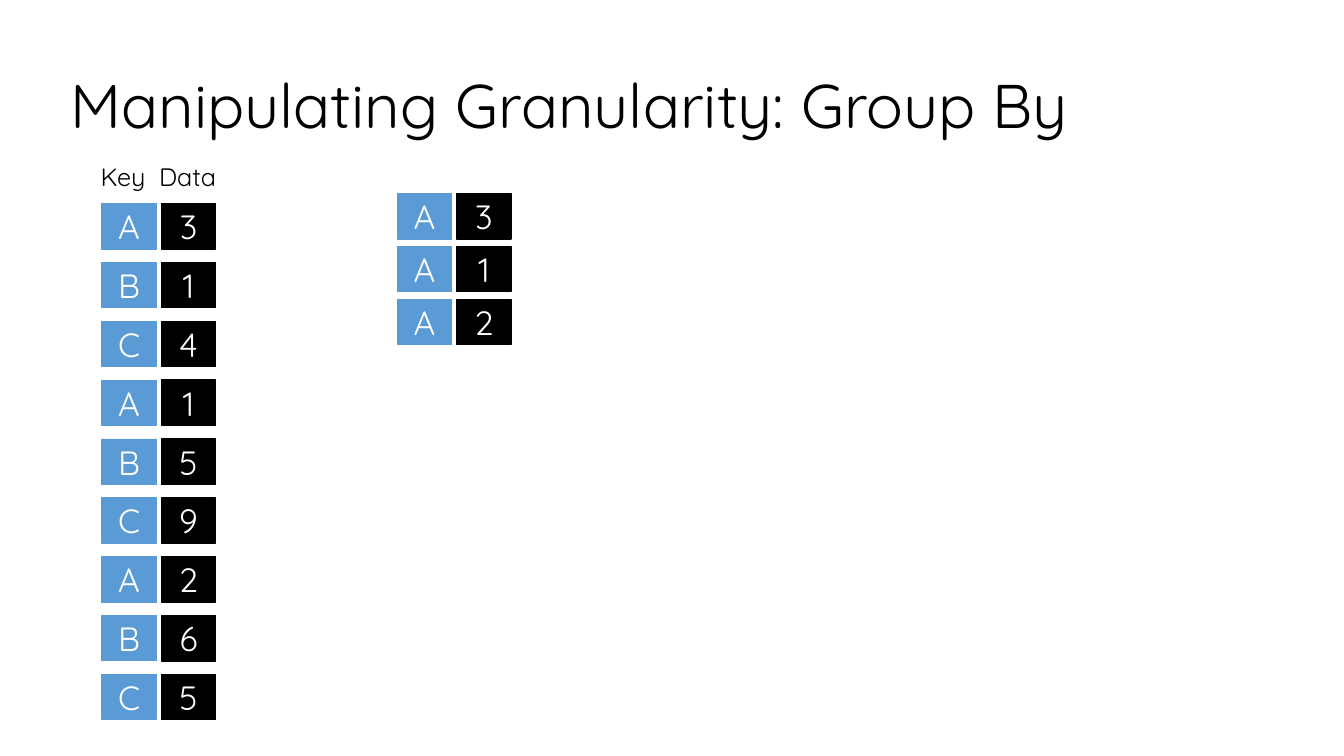
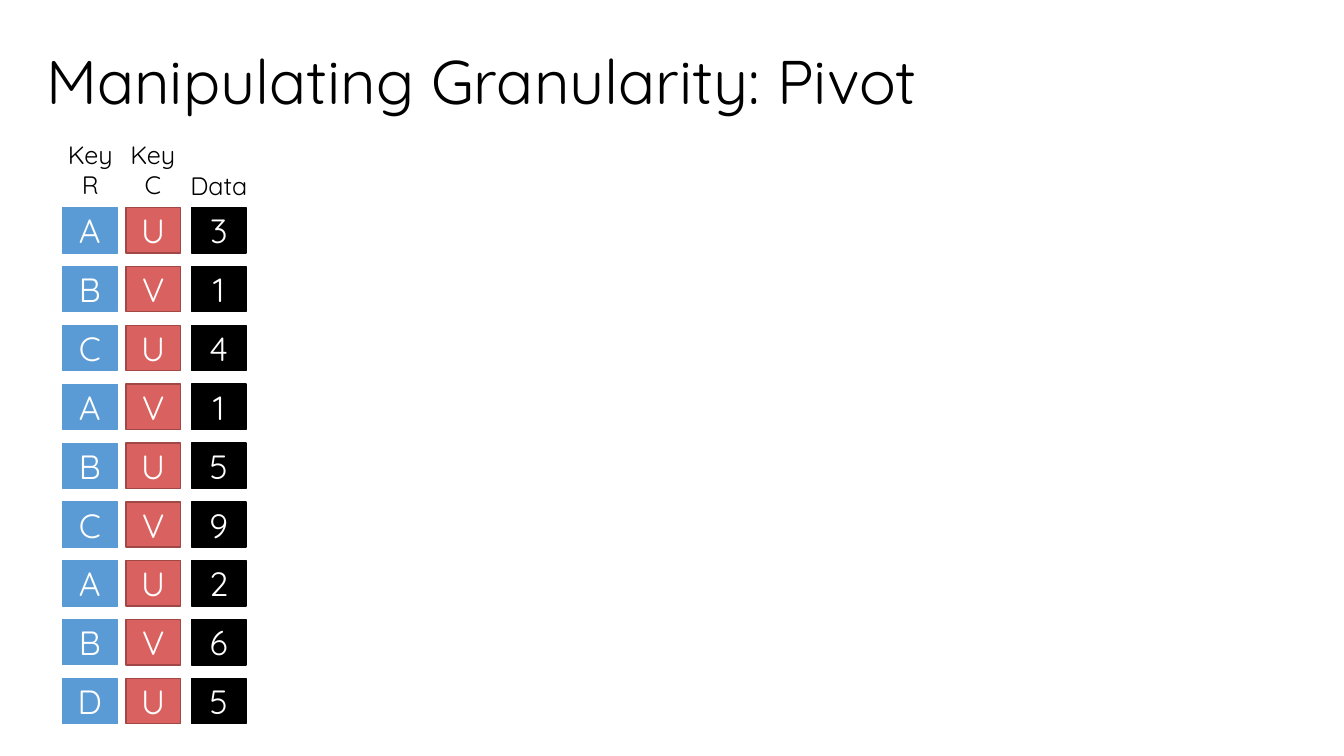
from dataclasses import dataclass

from pptx import Presentation
from pptx.dml.color import RGBColor
from pptx.enum import shapes, text
from pptx.util import Inches, Pt


@dataclass(frozen=True)
class TileStyle:
    """Fill, outline colour and outline width of one column of tiles."""
    fill: str
    outline: str
    outline_width: float


@dataclass(frozen=True)
class Theme:
    """Colours, font and type sizes shared by the slides."""
    font: str = "Quicksand"
    ink: str = "000000"
    tile_ink: str = "FFFFFF"
    title_size: int = 44
    label_size: int = 18
    tile_size: int = 24
    row_key: TileStyle = TileStyle("5B9BD5", "5B9BD5", 0.5)
    column_key: TileStyle = TileStyle("D9615F", "A14846", 1)
    data: TileStyle = TileStyle("000000", "000000", 1)


THEME = Theme()
TILE_WIDTH, TILE_HEIGHT = 0.54, 0.45
TABLE_SPAN = 4.67  # from the top of the first row to the top of the last


def style_text(frame, size, color, align):
    """Give every paragraph of a frame the theme font."""
    for paragraph in frame.paragraphs:
        paragraph.alignment = align
        paragraph.font.name = THEME.font
        paragraph.font.size = Pt(size)
        paragraph.font.color.rgb = RGBColor.from_string(color)


def add_title(slide, wording, left, top):
    """Add the slide title, centred vertically in its band."""
    box = slide.shapes.add_textbox(Inches(left), Inches(top), Inches(11.81), Inches(1.45))
    frame = box.text_frame
    frame.word_wrap = True
    frame.vertical_anchor = text.MSO_ANCHOR.MIDDLE
    frame.text = wording
    style_text(frame, THEME.title_size, THEME.ink, text.PP_ALIGN.LEFT)
    frame.paragraphs[0].line_spacing = 0.9


def add_label(slide, wording, left, top, width, height=0.4, align=text.PP_ALIGN.CENTER):
    """Add a column heading that does not wrap."""
    box = slide.shapes.add_textbox(Inches(left), Inches(top), Inches(width), Inches(height))
    frame = box.text_frame
    frame.word_wrap = False
    frame.auto_size = text.MSO_AUTO_SIZE.SHAPE_TO_FIT_TEXT
    frame.text = wording
    style_text(frame, THEME.label_size, THEME.ink, align)


def add_tile(row, value, left, top, style):
    """Add one coloured tile with its value to a row."""
    tile = row.shapes.add_shape(shapes.MSO_SHAPE.RECTANGLE, Inches(left), Inches(top),
                                Inches(TILE_WIDTH), Inches(TILE_HEIGHT))
    tile.shadow.inherit = False
    tile.fill.solid()
    tile.fill.fore_color.rgb = RGBColor.from_string(style.fill)
    tile.line.color.rgb = RGBColor.from_string(style.outline)
    tile.line.width = Pt(style.outline_width)
    frame = tile.text_frame
    frame.vertical_anchor = text.MSO_ANCHOR.MIDDLE
    frame.text = value
    style_text(frame, THEME.tile_size, THEME.tile_ink, text.PP_ALIGN.CENTER)


def add_tile_rows(slide, records, columns, top, span):
    """Spread records evenly over span, one group of tiles per record."""
    pitch = span / (len(records) - 1)
    for index, record in enumerate(records):
        row = slide.shapes.add_group_shape()
        for value, (left, style) in zip(record, columns):
            add_tile(row, value, left, top + index * pitch, style)


def build_group_by(slide):
    """Show keyed records beside the group that shares key A."""
    records = ["A3", "B1", "C4", "A1", "B5", "C9", "A2", "B6", "C5"]
    group_a = [record for record in records if record[0] == "A"]
    add_title(slide, "Manipulating Granularity: Group By", 0.6, 0.35)
    add_label(slide, "Key", 0.9, 1.55, 0.65, align=text.PP_ALIGN.LEFT)
    add_label(slide, "Data", 1.48, 1.55, 0.82, align=text.PP_ALIGN.LEFT)
    add_tile_rows(slide, group_a, [(3.94, THEME.row_key), (4.53, THEME.data)], 1.92, 1.05)
    add_tile_rows(slide, records, [(1.01, THEME.row_key), (1.6, THEME.data)], 2.02, TABLE_SPAN)


def build_pivot(slide):
    """Show records that have a row key and a column key."""
    records = ["AU3", "BV1", "CU4", "AV1", "BU5", "CV9", "AU2", "BV6", "DU5"]
    columns = [(0.62, THEME.row_key), (1.25, THEME.column_key), (1.9, THEME.data)]
    add_title(slide, "Manipulating Granularity: Pivot", 0.36, 0.11)
    add_label(slide, "Key\nR", 0.57, 1.33, 0.65, 0.71)
    add_label(slide, "Key\nC", 1.19, 1.33, 0.65, 0.71)
    add_label(slide, "Data", 1.76, 1.64, 0.82)
    add_tile_rows(slide, records, columns, 2.06, TABLE_SPAN)


def main():
    """Build both slides and save the presentation."""
    deck = Presentation()
    deck.slide_width, deck.slide_height = Inches(13.33), Inches(7.5)
    blank = deck.slide_layouts[6]
    for build in (build_group_by, build_pivot):
        build(deck.slides.add_slide(blank))
    deck.save("out.pptx")


main()
